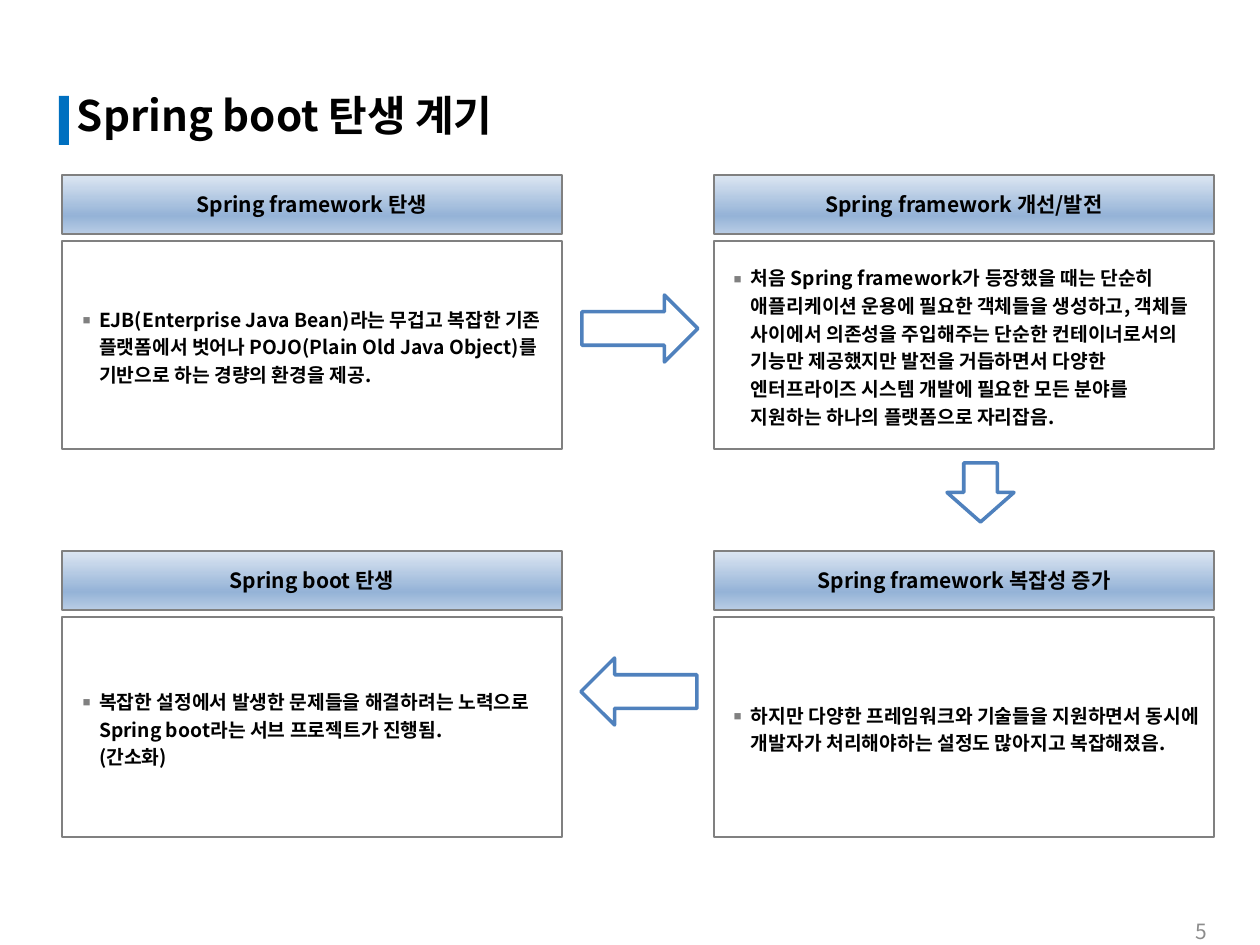
import pptx
import pptx.dml.color
import pptx.enum.shapes
import pptx.enum.text
import pptx.oxml
import pptx.oxml.ns
import pptx.util

PX = 914400 // 126
SHAPES = pptx.enum.shapes.MSO_SHAPE
ALIGN = pptx.enum.text.PP_ALIGN
ANCHOR = pptx.enum.text.MSO_ANCHOR

CARD_WIDTH, HEADER_HEIGHT, BODY_GAP = 500, 59, 7
LEFT_COLUMN, RIGHT_COLUMN = 62, 714
TOP_ROW, BOTTOM_ROW = (175, 208), (551, 220)  # header top, body height

CARDS = [
    (LEFT_COLUMN, TOP_ROW, "Spring framework 탄생",
     "EJB(Enterprise Java Bean)라는 무겁고 복잡한 기존 플랫폼에서 벗어나 "
     "POJO(Plain Old Java Object)를 기반으로 하는 경량의 환경을 제공."),
    (RIGHT_COLUMN, TOP_ROW, "Spring framework 개선/발전",
     "처음 Spring framework가 등장했을 때는 단순히 애플리케이션 운용에 필요한 "
     "객체들을 생성하고, 객체들 사이에서 의존성을 주입해주는 단순한 컨테이너로서의 "
     "기능만 제공했지만 발전을 거듭하면서 다양한 엔터프라이즈 시스템 개발에 필요한 "
     "모든 분야를 지원하는 하나의 플랫폼으로 자리잡음."),
    (LEFT_COLUMN, BOTTOM_ROW, "Spring boot 탄생",
     "복잡한 설정에서 발생한 문제들을 해결하려는 노력으로 "
     "Spring boot라는 서브 프로젝트가 진행됨.\n(간소화)"),
    (RIGHT_COLUMN, BOTTOM_ROW, "Spring framework 복잡성 증가",
     "하지만 다양한 프레임워크와 기술들을 지원하면서 동시에 개발자가 "
     "처리해야하는 설정도 많아지고 복잡해졌음."),
]

# left, top, width, height before rotation, then degrees
ARROWS = [
    (582, 295, 116, 67, 0),
    (951, 459, 59, 67, 90),
    (581, 658, 116, 67, 180),
]


def px(length):
    return pptx.util.Emu(length * PX)


def rgb(color):
    return pptx.dml.color.RGBColor.from_string(color)


def element(xml):
    """Build one DrawingML element, adding the namespace to its root tag."""
    tag, rest = xml.split(" ", 1)
    return pptx.oxml.parse_xml(f"{tag} {pptx.oxml.ns.nsdecls('a')} {rest}")


class SlideBuilder:
    font = "Noto Sans CJK KR"
    ink = "000000"
    border = "808080"
    accent = "0070C0"
    arrow_line = "4F81BD"
    header_stops = [(0, "DCE6F2"), (69, "95B3D7"), (100, "B9CDE5")]

    def __init__(self, slide):
        self.slide = slide

    def set_text(self, frame, text, size, color=ink, bold=True, align=ALIGN.LEFT,
                 anchor=ANCHOR.MIDDLE, inset=13, bullet=False):
        frame.word_wrap = True
        frame.auto_size = pptx.enum.text.MSO_AUTO_SIZE.NONE
        frame.vertical_anchor = anchor
        frame.margin_left = frame.margin_right = px(inset)
        frame.margin_top = frame.margin_bottom = px(6)
        paragraph = frame.paragraphs[0]
        paragraph.alignment = align
        if bullet:
            self.add_bullet(paragraph)
        for index, line in enumerate(text.split("\n")):
            if index:
                paragraph.add_line_break()
            run = paragraph.add_run()
            run.text = line
            run.font.size = pptx.util.Pt(size)
            run.font.bold = bold
            run.font.color.rgb = rgb(color)
            run.font.name = self.font
            run.font._element.append(element(f'<a:ea typeface="{self.font}"/>'))

    def add_bullet(self, paragraph):
        paragraph.line_spacing = 1.2
        properties = paragraph._p.get_or_add_pPr()
        properties.set("marL", str(px(24)))
        properties.set("indent", str(px(-24)))
        for xml in (f'<a:buClr ><a:srgbClr val="{self.border}"/></a:buClr>',
                    '<a:buSzPct val="120000"/>',
                    f'<a:buFont typeface="{self.font}"/>',
                    '<a:buChar char="▪"/>'):
            properties.append(element(xml))

    def shape(self, kind, left, top, width, height, fill=None, line=None, weight=0.75):
        shape = self.slide.shapes.add_shape(kind, px(left), px(top), px(width), px(height))
        shape.shadow.inherit = False
        if fill:
            shape.fill.solid()
            shape.fill.fore_color.rgb = rgb(fill)
        else:
            shape.fill.background()
        if line:
            shape.line.color.rgb = rgb(line)
            shape.line.width = pptx.util.Pt(weight)
        else:
            shape.line.fill.background()
        return shape

    def fill_header(self, shape):
        """Three-stop vertical gradient in place of the flat fill."""
        shape.fill.gradient()
        shape.fill.gradient_angle = 270
        stops = shape._element.spPr.find(".//" + pptx.oxml.ns.qn("a:gsLst"))
        for stop in list(stops):
            stops.remove(stop)
        for percent, color in self.header_stops:
            stops.append(element(
                f'<a:gs pos="{percent * 1000}"><a:srgbClr val="{color}"/></a:gs>'))

    def title(self, text):
        title = self.slide.shapes.title
        title.left, title.top, title.width, title.height = px(64), px(83), px(1134), px(72)
        self.set_text(title.text_frame, text, 24, anchor=ANCHOR.TOP)
        self.shape(SHAPES.RECTANGLE, 59, 96, 10, 49, fill=self.accent)

    def card(self, left, row, heading, body):
        top, body_height = row
        header = self.shape(SHAPES.RECTANGLE, left, top, CARD_WIDTH, HEADER_HEIGHT,
                            line=self.border)
        self.fill_header(header)
        self.set_text(header.text_frame, heading, 12, align=ALIGN.CENTER, inset=0)
        panel = self.shape(SHAPES.RECTANGLE, left, top + HEADER_HEIGHT + BODY_GAP,
                           CARD_WIDTH, body_height, fill="FFFFFF", line=self.border)
        self.set_text(panel.text_frame, body, 11, bullet=True)

    def arrow(self, left, top, width, height, rotation):
        arrow = self.shape(SHAPES.RIGHT_ARROW, left, top, width, height,
                           line=self.arrow_line, weight=2)
        arrow.rotation = rotation

    def page_number(self, number):
        box = self.slide.shapes.add_textbox(px(926), px(906), px(294), px(50))
        self.set_text(box.text_frame, number, 12, color="8C8C8C", bold=False,
                      align=ALIGN.RIGHT)


def main():
    deck = pptx.Presentation()
    deck.slide_width, deck.slide_height = pptx.util.Inches(10), pptx.util.Inches(7.5)
    builder = SlideBuilder(deck.slides.add_slide(deck.slide_layouts[5]))
    builder.page_number("5")
    for card in CARDS:
        builder.card(*card)
    builder.title("Spring boot 탄생 계기")
    for arrow in ARROWS:
        builder.arrow(*arrow)
    deck.save("out.pptx")


if __name__ == "__main__":
    main()
